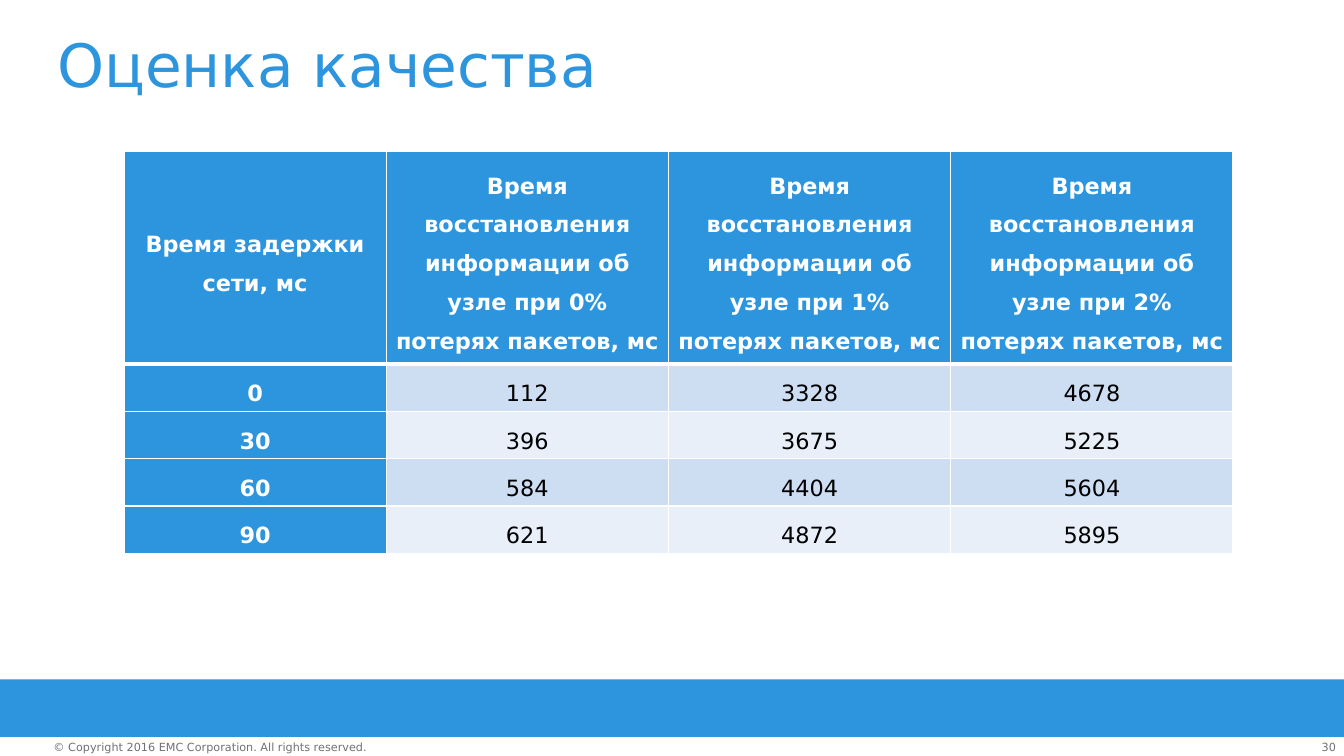
from lxml import etree
from pptx import Presentation
from pptx.dml.color import RGBColor
from pptx.enum import shapes, text
from pptx.oxml import ns
from pptx.util import Inches, Pt

FONT = "DejaVu Sans"
BLUE, WHITE, BLACK, GREY = "2C95DD", "FFFFFF", "000000", "717074"
BANDS = ["CDDDF2", "E8EFF9"]
HEADERS = ["Время задержки сети, мс"] + [
    f"Время восстановления информации об узле при {loss}% потерях пакетов, мс"
    for loss in range(3)
]
MEASUREMENTS = [
    [0, 112, 3328, 4678],
    [30, 396, 3675, 5225],
    [60, 584, 4404, 5604],
    [90, 621, 4872, 5895],
]
COLUMN_WIDTHS = [2.6, 2.8, 2.8, 2.8]
ROW_HEIGHTS = [2.11] + [0.47] * len(MEASUREMENTS)


def color(hex_code):
    """Return the colour for a hex string."""
    return RGBColor.from_string(hex_code)


def write(frame, wording, size, hex_code, align, spacing=1.0, bold=False):
    """Set one formatted paragraph in a text frame."""
    frame.text = wording
    paragraph = frame.paragraphs[0]
    paragraph.alignment = align
    paragraph.line_spacing = spacing
    font = paragraph.runs[0].font
    font.name, font.size, font.bold = FONT, Pt(size), bold
    font.color.rgb = color(hex_code)


def clear_margins(frame):
    """Remove the inner margins of a text frame."""
    frame.margin_left = frame.margin_top = 0
    frame.margin_right = frame.margin_bottom = 0


def add_title(slide, left, top, width, height):
    """Place the slide title in its box."""
    title = slide.shapes.title
    title.left, title.top = Inches(left), Inches(top)
    title.width, title.height = Inches(width), Inches(height)
    frame = title.text_frame
    clear_margins(frame)
    frame.word_wrap = True
    frame.auto_size = text.MSO_AUTO_SIZE.NONE
    frame.vertical_anchor = text.MSO_ANCHOR.BOTTOM
    write(frame, "Оценка качества", 42.7, BLUE, text.PP_ALIGN.LEFT, 0.9)


def add_borders(cell, bottom_width):
    """Draw white lines around a table cell."""
    properties = cell._tc.get_or_add_tcPr()
    for side, width in zip("LRTB", [1, 1, 1, bottom_width]):
        line = etree.SubElement(properties, ns.qn(f"a:ln{side}"), w=str(Pt(width)))
        fill = etree.SubElement(line, ns.qn("a:solidFill"))
        etree.SubElement(fill, ns.qn("a:srgbClr"), val=WHITE)


def format_cell(cell, value, row, column):
    """Fill one table cell according to its row and column."""
    is_heading = row == 0 or column == 0
    add_borders(cell, 3 if row == 0 else 1)
    cell.fill.solid()
    cell.fill.fore_color.rgb = color(BLUE if is_heading else BANDS[(row - 1) % 2])
    cell.margin_left = cell.margin_right = Inches(0.07)
    cell.margin_top = cell.margin_bottom = 0
    cell.vertical_anchor = text.MSO_ANCHOR.MIDDLE
    write(cell.text_frame, str(value), 16, WHITE if is_heading else BLACK,
          text.PP_ALIGN.CENTER, 1.5, is_heading)


def add_recovery_table(slide, left, top):
    """Place the table of recovery times with its corner at the given point."""
    rows = [HEADERS] + MEASUREMENTS
    table = slide.shapes.add_table(
        len(rows), len(HEADERS), Inches(left), Inches(top),
        Inches(sum(COLUMN_WIDTHS)), Inches(sum(ROW_HEIGHTS))).table
    for column, width in zip(table.columns, COLUMN_WIDTHS):
        column.width = Inches(width)
    for row, height in zip(table.rows, ROW_HEIGHTS):
        row.height = Inches(height)
    for i, values in enumerate(rows):
        for j, value in enumerate(values):
            format_cell(table.cell(i, j), value, i, j)


def add_footer(slide, left, top, width, height):
    """Place the blue band with the copyright line and page number below it."""
    band = slide.shapes.add_shape(
        shapes.MSO_SHAPE.RECTANGLE,
        Inches(left), Inches(top), Inches(width), Inches(height))
    band.shadow.inherit = False
    band.fill.solid()
    band.fill.fore_color.rgb = color(BLUE)
    band.line.fill.background()
    notes = [
        ("© Copyright 2016 EMC Corporation. All rights reserved.",
         0.53, 3.17, text.PP_ALIGN.LEFT, False),
        ("30", 12.83, 0.42, text.PP_ALIGN.RIGHT, True),
    ]
    for wording, offset, note_width, align, wrap in notes:
        note = slide.shapes.add_textbox(
            Inches(left + offset), Inches(top + height + 0.03),
            Inches(note_width), Inches(0.13))
        clear_margins(note.text_frame)
        note.text_frame.word_wrap = wrap
        write(note.text_frame, wording, 8, GREY, align)


def main():
    """Build the slide and save it."""
    deck = Presentation()
    deck.slide_width, deck.slide_height = Inches(13.33), Inches(7.5)
    slide = deck.slides.add_slide(deck.slide_layouts[5])
    slide.background.fill.solid()
    slide.background.fill.fore_color.rgb = color(WHITE)
    add_footer(slide, 0, 6.74, 13.33, 0.57)
    add_title(slide, 0.57, 0.33, 12.33, 0.67)
    add_recovery_table(slide, 1.23, 1.5)
    deck.save("out.pptx")


if __name__ == "__main__":
    main()
